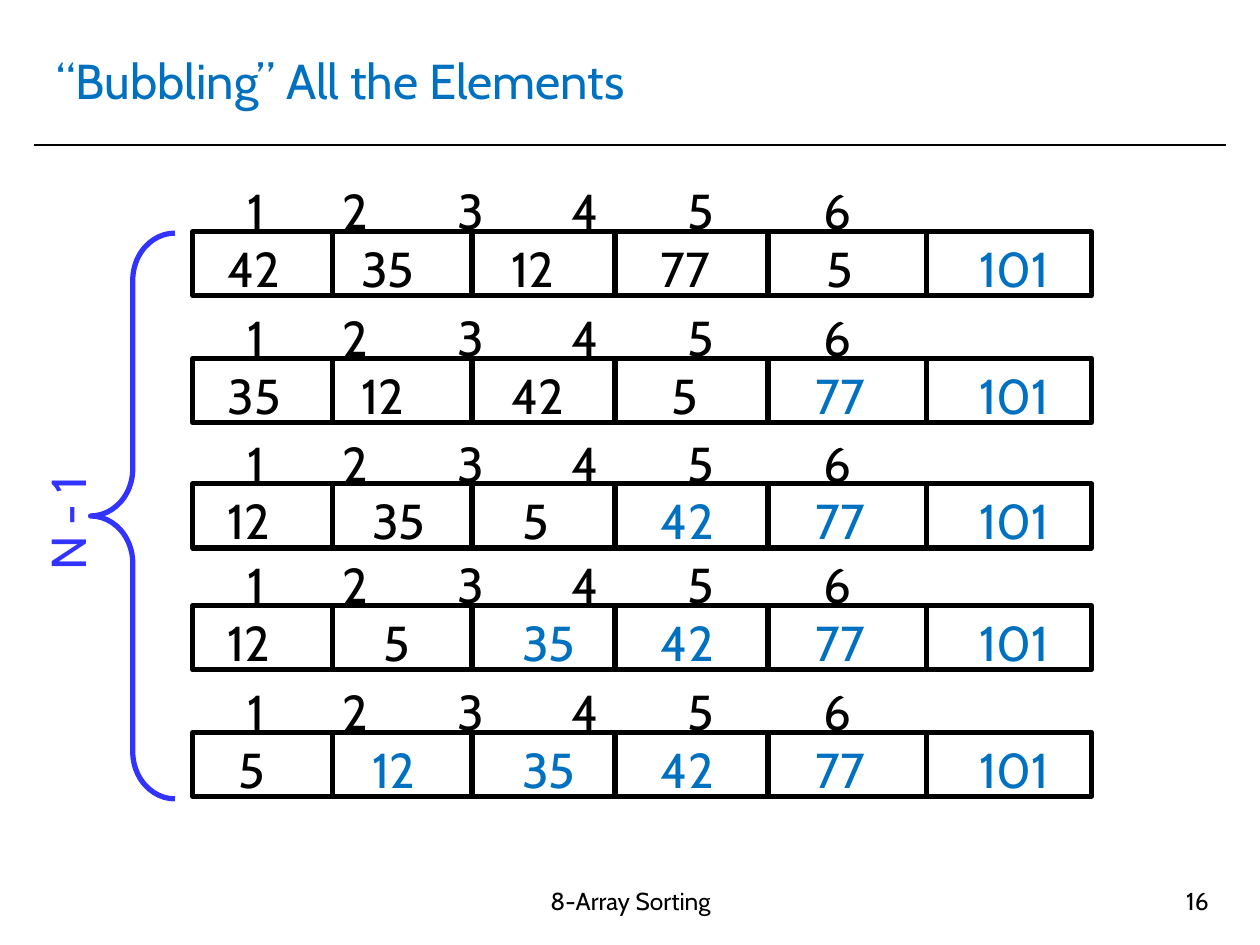
"""Build the slide that shows bubble sort passes over a six-element array."""
from dataclasses import dataclass

from lxml import etree
from pptx import Presentation
from pptx import util as u
from pptx.dml import color
from pptx.enum import shapes, text
from pptx.oxml import ns


@dataclass(frozen=True)
class Theme:
    """Colours, font and type sizes of the slide."""
    ink: str = "000000"
    accent: str = "0070C0"
    brace: str = "3333FF"
    font: str = "Cabin"
    body: float = 28
    footer: float = 14
    thin: float = 1
    thick: float = 3


THEME = Theme()
ROW_LEFT, ROW_WIDTH, ROW_HEIGHT = 110.2, 513.4, 36.7
DIVIDERS = (189.9, 269.8, 351.4, 438.9, 529.6)
VALUE_LEFTS = (123, 199.3, 285, 370.5, 459, 552.7)
VALUE_WIDTH, TEXT_HEIGHT = 68, 41
INDENT = 6.3
INDEX_LEFT, INDEX_RISE, INDEX_WIDTH = 134.6, 32.4, 478
INDEX_TABS = (54, 120, 185, 251, 329)

# Each pass: top, values, indent steps of the values, number of sorted values
PASSES = (
    (132.3, (42, 35, 12, 77, 5, 101), (0, 0, 0, 0, 1, 0), 1),
    (204.7, (35, 12, 42, 5, 77, 101), (0, 0, 0, 1, 0, 0), 2),
    (276.5, (12, 35, 5, 42, 77, 101), (0, 1, 1, 0, 0, 0), 3),
    (346.0, (12, 5, 35, 42, 77, 101), (0, 2, 1, 0, 0, 0), 4),
    (418.5, (5, 12, 35, 42, 77, 101), (1, 1, 1, 0, 0, 0), 5),
)


def apply_format(target, values):
    """Set every attribute named in values on target."""
    for name, value in values.items():
        setattr(target, name, value)


def set_line(part, colour, weight):
    """Give a part a solid outline."""
    part.line.color.rgb = color.RGBColor.from_string(colour)
    part.line.width = u.Pt(weight)


def add_tabs(paragraph, stops):
    """Add left tab stops, in points, to a paragraph."""
    tab_list = etree.SubElement(paragraph._p.get_or_add_pPr(), ns.qn("a:tabLst"))
    for stop in stops:
        etree.SubElement(tab_list, ns.qn("a:tab"), pos=str(u.Pt(stop)), algn="l")


def add_label(parent, wording, box, colour=THEME.ink, size=THEME.body,
              align=text.PP_ALIGN.LEFT, anchor=text.MSO_ANCHOR.TOP, tabs=()):
    """Add one line of text in a box given in points."""
    label = parent.add_textbox(*map(u.Pt, box))
    apply_format(label.text_frame, {"word_wrap": True, "vertical_anchor": anchor})
    paragraph = label.text_frame.paragraphs[0]
    if tabs:
        add_tabs(paragraph, tabs)
    paragraph.alignment = align
    run = paragraph.add_run()
    run.text = wording
    apply_format(run.font, {"name": THEME.font, "size": u.Pt(size)})
    run.font.color.rgb = color.RGBColor.from_string(colour)
    return label


def add_rule(parent, start, end, weight):
    """Add a straight line between two points."""
    rule = parent.add_connector(shapes.MSO_CONNECTOR.STRAIGHT,
                                *map(u.Pt, (*start, *end)))
    set_line(rule, THEME.ink, weight)
    etree.SubElement(rule._element.spPr, ns.qn("a:effectLst"))


def add_outline(parent, preset, box, colour):
    """Add an unfilled preset shape with a thick outline."""
    outline = parent.add_shape(preset, *map(u.Pt, box))
    outline.shadow.inherit = False
    outline.fill.background()
    set_line(outline, colour, THEME.thick)
    return outline


def add_pass(slide, top, values, indents, sorted_count):
    """Add one array row with its index numbers, sorted values in accent."""
    row = slide.shapes.add_group_shape().shapes
    add_outline(row, shapes.MSO_SHAPE.RECTANGLE,
                (ROW_LEFT, top, ROW_WIDTH, ROW_HEIGHT), THEME.ink)
    for x in DIVIDERS:
        add_rule(row, (x, top), (x, top + ROW_HEIGHT), THEME.thick)
    first_sorted = len(values) - sorted_count
    for column, (value, left, steps) in enumerate(zip(values, VALUE_LEFTS, indents)):
        colour = THEME.accent if column >= first_sorted else THEME.ink
        add_label(row, str(value),
                  (left + steps * INDENT, top + 0.4, VALUE_WIDTH, TEXT_HEIGHT), colour)
    indices = "\t".join(str(i) for i in range(1, len(values) + 1))
    add_label(row, indices, (INDEX_LEFT, top - INDEX_RISE, INDEX_WIDTH, TEXT_HEIGHT),
              tabs=INDEX_TABS)


def add_pass_count(slide):
    """Add the brace that spans all passes and its rotated caption."""
    bracket = slide.shapes.add_group_shape().shapes
    brace = add_outline(bracket, shapes.MSO_SHAPE.LEFT_BRACE,
                        (51.8, 133.2, 48.2, 323.3), THEME.brace)
    brace.adjustments[0] = 0.56
    caption = add_label(bracket, "N - 1", (0, 274.3, 77, TEXT_HEIGHT), THEME.brace)
    caption.rotation = 270


def main():
    """Build and save the slide."""
    deck = Presentation()
    apply_format(deck, {"slide_width": u.Pt(720), "slide_height": u.Pt(540)})
    slide = deck.slides.add_slide(deck.slide_layouts[6])
    add_rule(slide.shapes, (19.5, 82.8), (700.5, 82.8), THEME.thin)
    add_label(slide.shapes, "“Bubbling” All the Elements", (25.2, 15.1, 669, 61.2),
              THEME.accent, anchor=text.MSO_ANCHOR.MIDDLE)
    add_label(slide.shapes, "8-Array Sorting", (241.2, 502.6, 238.3, 37.4),
              size=THEME.footer, align=text.PP_ALIGN.CENTER)
    add_label(slide.shapes, "16", (530, 502.6, 167.8, 37.4),
              size=THEME.footer, align=text.PP_ALIGN.RIGHT)
    for sorting_pass in PASSES:
        add_pass(slide, *sorting_pass)
    add_pass_count(slide)
    deck.save("out.pptx")


if __name__ == "__main__":
    main()
